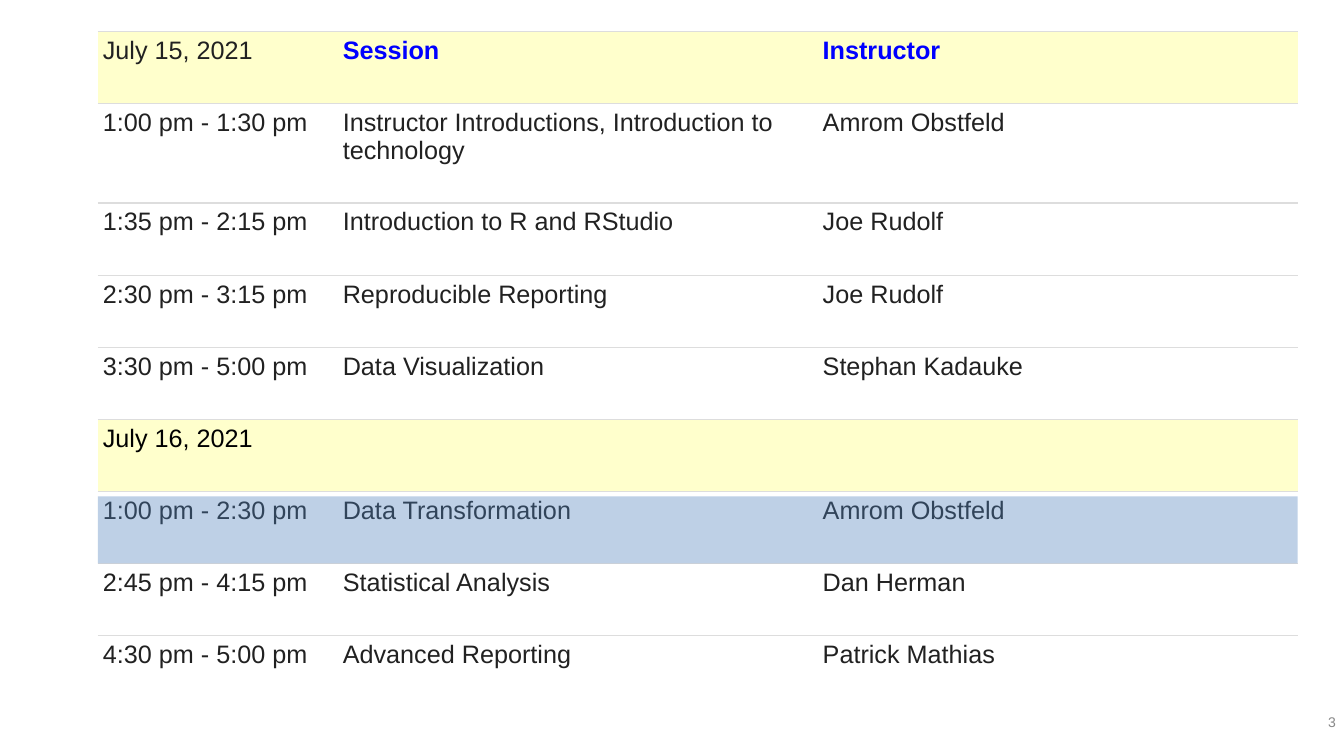
from lxml.etree import SubElement
from pptx import Presentation
from pptx.dml.color import RGBColor
from pptx.enum.shapes import MSO_SHAPE
from pptx.enum.text import PP_ALIGN
from pptx.oxml.ns import qn
from pptx.util import Inches, Pt

COLORS = {
    "day": "FFFFCC", "session": "FFFFFF", "rule": "DDDDDD", "text": "212121",
    "heading": "0000FF", "date": "000000", "highlight": "4F81BD", "number": "888888",
}

# Schedule grid, in inches
LEFT, TOP, WIDTH, HEIGHT = 0.97, 0.31, 11.9, 6.71
COLUMN_SHARES = (0.2, 0.4, 0.4)
INTRO_ROW, INTRO_HEIGHT = 1, 0.99
CURRENT_ROW = 6
GAP = 0.05

SCHEDULE = [
    ("July 15, 2021", "Session", "Instructor"),
    ("1:00 pm - 1:30 pm", "Instructor Introductions, Introduction to technology", "Amrom Obstfeld"),
    ("1:35 pm - 2:15 pm", "Introduction to R and RStudio", "Joe Rudolf"),
    ("2:30 pm - 3:15 pm", "Reproducible Reporting", "Joe Rudolf"),
    ("3:30 pm - 5:00 pm", "Data Visualization", "Stephan Kadauke"),
    ("July 16, 2021", "", ""),
    ("1:00 pm - 2:30 pm", "Data Transformation", "Amrom Obstfeld"),
    ("2:45 pm - 4:15 pm", "Statistical Analysis", "Dan Herman"),
    ("4:30 pm - 5:00 pm", "Advanced Reporting", "Patrick Mathias"),
]
ROW_HEIGHT = (HEIGHT - INTRO_HEIGHT) / (len(SCHEDULE) - 1)
ROW_HEIGHTS = [INTRO_HEIGHT if row == INTRO_ROW else ROW_HEIGHT for row in range(len(SCHEDULE))]


def color(name):
    return RGBColor.from_string(COLORS[name])


def apply_format(target, values):
    for attribute, value in values.items():
        setattr(target, attribute, value)


def set_font(paragraph, size, color_name, bold=False):
    apply_format(paragraph.font, {"name": "Arial", "size": Pt(size), "bold": bold})
    paragraph.font.color.rgb = color(color_name)


def set_borders(cell, ruled_sides):
    properties = cell._tc.get_or_add_tcPr()
    for position, side in enumerate("LRTB"):
        border = SubElement(properties, qn(f"a:ln{side}"), w=str(Pt(1)))
        if side in ruled_sides:
            fill = SubElement(border, qn("a:solidFill"))
            SubElement(fill, qn("a:srgbClr"), val=COLORS["rule"])
        else:
            SubElement(border, qn("a:noFill"))
        properties.insert(position, border)


def text_style(row, column):
    if row == 0 and column > 0:
        return "heading", True
    return ("date" if SCHEDULE[row][0] == "July 16, 2021" else "text"), False


def fill_cell(cell, row, column):
    apply_format(cell, dict.fromkeys(
        ("margin_left", "margin_right", "margin_top", "margin_bottom"), Inches(GAP)))
    cell.text = SCHEDULE[row][column]
    paragraph = cell.text_frame.paragraphs[0]
    paragraph.space_after = Pt(15)
    set_font(paragraph, 18, *text_style(row, column))
    cell.fill.solid()
    is_day = SCHEDULE[row][0].startswith("July")
    cell.fill.fore_color.rgb = color("day" if is_day else "session")
    set_borders(cell, "T" if row == len(SCHEDULE) - 1 else "TB")


def add_schedule(slide):
    schedule = slide.shapes.add_table(
        len(SCHEDULE), len(COLUMN_SHARES),
        Inches(LEFT), Inches(TOP), Inches(WIDTH), Inches(HEIGHT)).table
    apply_format(schedule, {"first_row": False, "horz_banding": False})
    for column, share in zip(schedule.columns, COLUMN_SHARES):
        column.width = Inches(WIDTH * share)
    for row, height in enumerate(ROW_HEIGHTS):
        schedule.rows[row].height = Inches(height)
        for column in range(len(COLUMN_SHARES)):
            fill_cell(schedule.cell(row, column), row, column)


def add_highlight(slide, row):
    row_top = TOP + sum(ROW_HEIGHTS[:row])
    highlight = slide.shapes.add_shape(
        MSO_SHAPE.RECTANGLE, Inches(LEFT), Inches(row_top + GAP),
        Inches(WIDTH), Inches(ROW_HEIGHTS[row] - GAP))
    highlight.shadow.inherit = False
    highlight.line.fill.background()
    highlight.fill.solid()
    highlight.fill.fore_color.rgb = color("highlight")
    tint = highlight.fill._xPr.find(f".//{qn('a:srgbClr')}")
    SubElement(tint, qn("a:alpha"), val="37000")


def add_slide_number(slide, number):
    frame = slide.shapes.add_textbox(
        Inches(10.18), Inches(7.08), Inches(3.07), Inches(0.38)).text_frame
    apply_format(frame, {"word_wrap": True, "margin_left": 0, "margin_right": 0,
                         "margin_top": 0, "margin_bottom": 0})
    frame.text = number
    frame.paragraphs[0].alignment = PP_ALIGN.RIGHT
    set_font(frame.paragraphs[0], 10, "number")


def main():
    deck = Presentation()
    apply_format(deck, {"slide_width": Inches(13.33), "slide_height": Inches(7.5)})
    slide = deck.slides.add_slide(deck.slide_layouts[6])

    # Two-day schedule, with the current session marked
    add_schedule(slide)
    add_highlight(slide, CURRENT_ROW)

    # Footer
    add_slide_number(slide, "3")
    deck.save("out.pptx")


if __name__ == "__main__":
    main()
